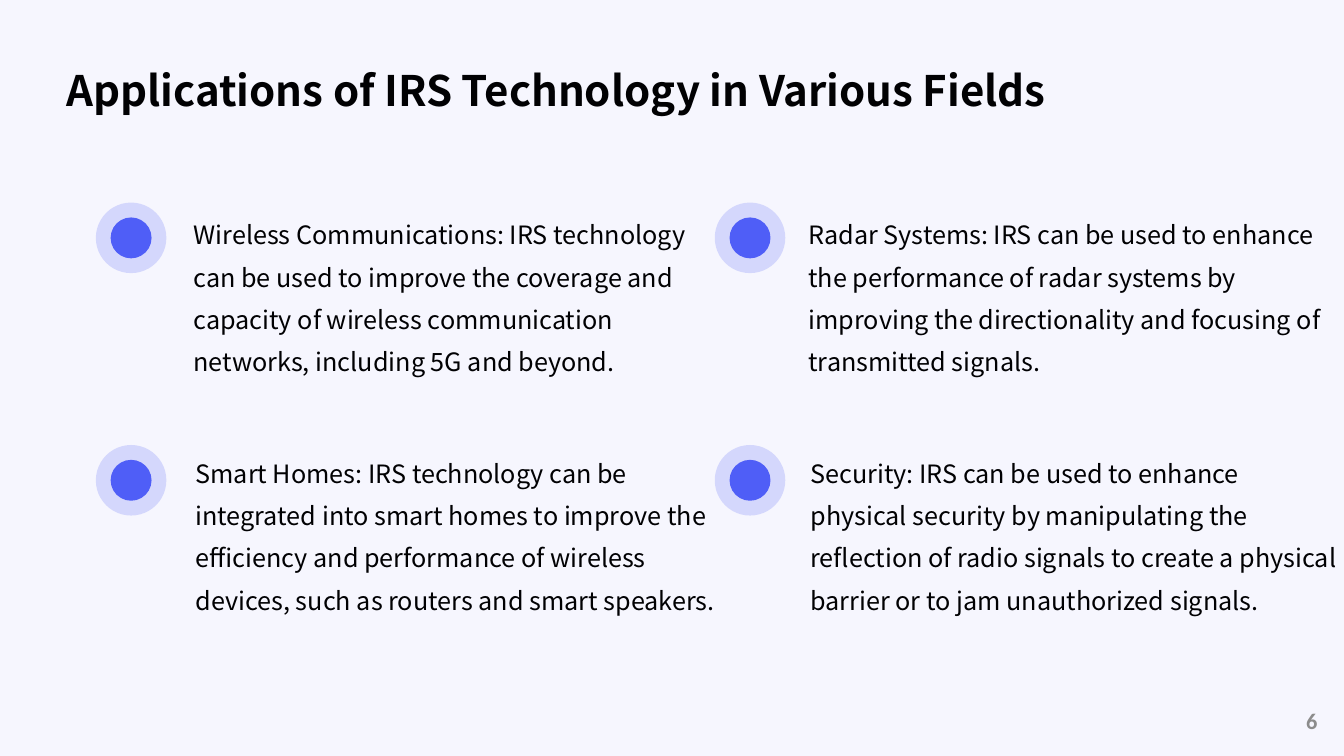
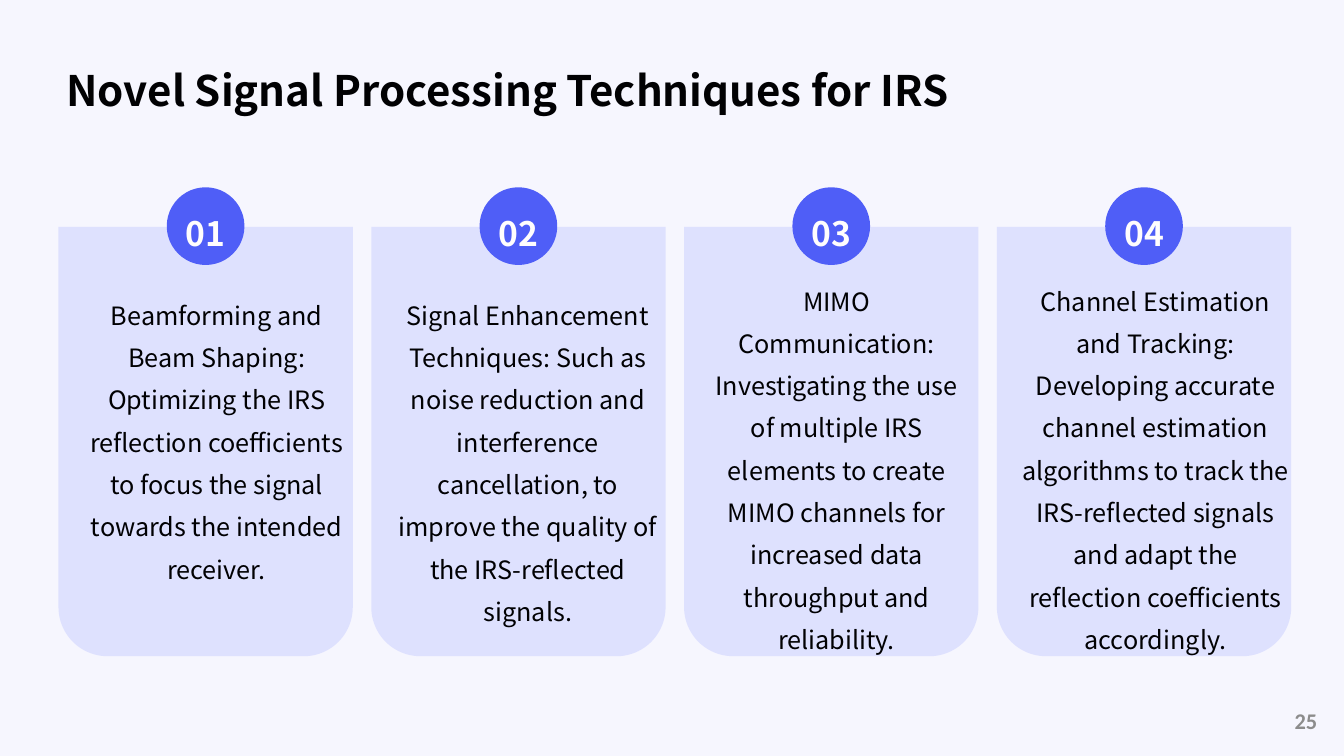
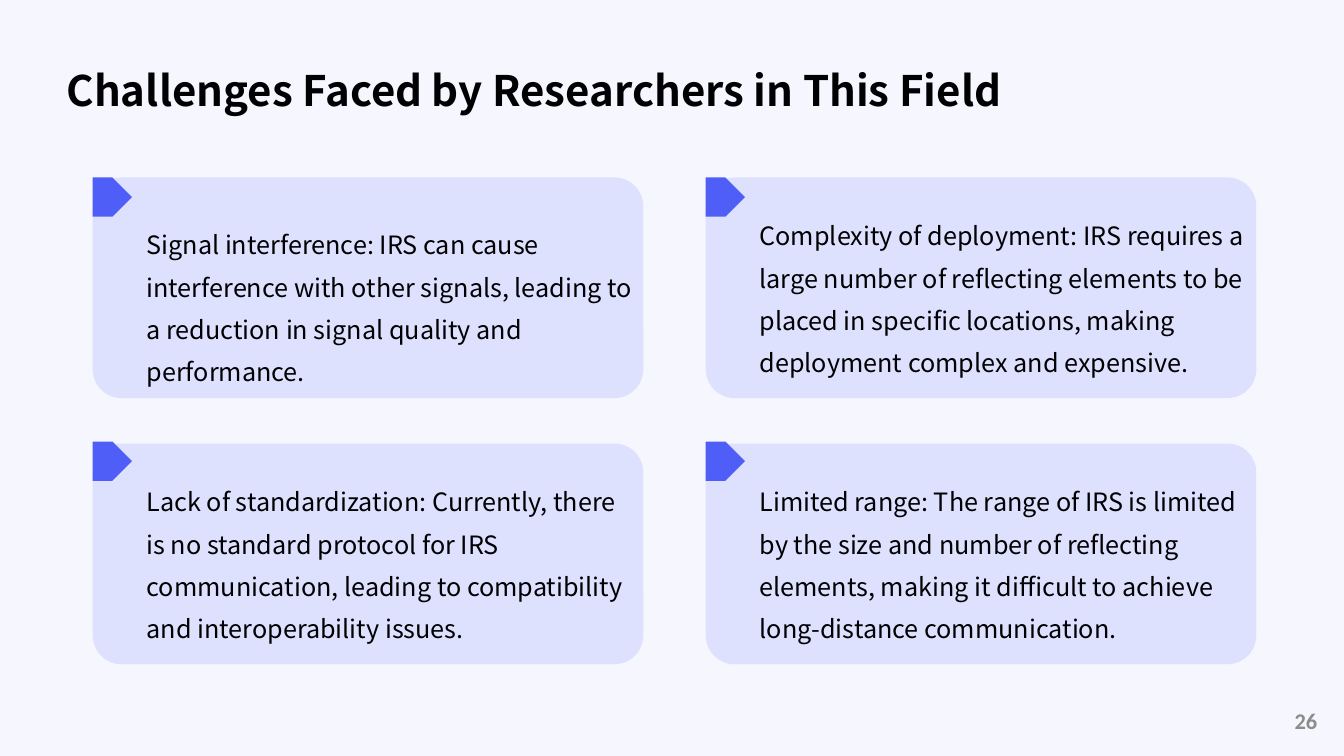
from dataclasses import dataclass

from lxml.etree import SubElement
from pptx import Presentation
from pptx.dml.color import RGBColor as Rgb
from pptx.enum.shapes import MSO_SHAPE as Kind
from pptx.enum.text import MSO_ANCHOR as Anchor, PP_ALIGN as Align
from pptx.oxml.ns import qn
from pptx.util import Inches, Pt


class Theme:
    """Colours, text styles and insets (left, top, right, bottom) of the deck."""
    back, main, card = "F6F6FE", "4F5EF7", "D9DCFF"
    sans = "Noto Sans CJK SC"
    wide, slim = (0.14, 0.14, 0.06, 0.14), (0.07, 0.04, 0.07, 0.04)
    body = {"font": {"name": sans, "size": Pt(18), "bold": False},
            "color": "010103", "para": {"line_spacing": 1.4, "alignment": Align.LEFT},
            "anchor": Anchor.TOP, "inset": wide}
    note = body | {"inset": slim}
    mid = note | {"para": {"line_spacing": 1.4, "alignment": Align.CENTER}}
    title = body | {"font": {"name": sans, "size": Pt(30), "bold": True},
                    "anchor": Anchor.MIDDLE}
    badge = {"font": {"name": sans, "size": Pt(24), "bold": True},
             "color": "FFFDFD", "para": {"line_spacing": 1.2, "alignment": Align.CENTER},
             "anchor": Anchor.MIDDLE, "inset": (0, 0.05, 0, 0)}
    page = {"font": {"name": "Calibri", "size": Pt(16), "bold": True},
            "color": "8C8C8C", "para": {"alignment": Align.RIGHT},
            "anchor": Anchor.MIDDLE, "inset": (0.1, 0.05, 0.1, 0.05)}


@dataclass
class Box:
    """A rectangle in inches; areas inside it are given in percent of its size."""
    x: float
    y: float
    w: float
    h: float

    def area(self, x, y, w, h):
        return Box(self.x + self.w * x / 100, self.y + self.h * y / 100,
                   self.w * w / 100, self.h * h / 100)

    def grid(self, cols, rows, gap_x=0, gap_y=0):
        """Equal cells, row by row, with gaps in percent."""
        w = (100 - gap_x * (cols - 1)) / cols
        h = (100 - gap_y * (rows - 1)) / rows
        return [self.area(col * (w + gap_x), row * (h + gap_y), w, h)
                for row in range(rows) for col in range(cols)]

    def emu(self):
        return [Inches(side) for side in (self.x, self.y, self.w, self.h)]


PAGE = Box(0, 0, 13.33, 7.5)


def assign(target, values):
    for name, value in values.items():
        setattr(target, name, value)


def write(frame, words, style):
    sides = ("margin_left", "margin_top", "margin_right", "margin_bottom")
    assign(frame, dict(zip(sides, map(Inches, style["inset"]))))
    assign(frame, {"word_wrap": True, "vertical_anchor": style["anchor"]})
    para = frame.paragraphs[0]
    assign(para, style["para"])
    run = para.add_run()
    run.text = words
    assign(run.font, style["font"])
    run.font.color.rgb = Rgb.from_string(style["color"])


def label(slide, box, words, style):
    write(slide.shapes.add_textbox(*box.emu()).text_frame, words, style)


def block(slide, kind, box, color, alpha=100, adjust=None, turn=0):
    """A plain filled shape; alpha is its opacity in percent."""
    shape = slide.shapes.add_shape(kind, *box.emu())
    shape.shadow.inherit = False
    shape.line.fill.background()
    shape.fill.solid()
    shape.fill.fore_color.rgb = Rgb.from_string(color)
    shape.rotation = turn
    if adjust is not None:
        shape.adjustments[0] = adjust
    if alpha < 100:
        tint = shape.element.spPr.find(".//" + qn("a:srgbClr"))
        SubElement(tint, qn("a:alpha"), val=str(alpha * 1000))
    return shape


def bullet(slide, cell, place, words):
    halo = cell.area(0, 0, 11.4, 29.1)
    block(slide, Kind.OVAL, halo, Theme.main, alpha=20)
    block(slide, Kind.OVAL, halo.area(21, 21, 58, 58), Theme.main)
    x, y, w = place
    label(slide, cell.area(x, y, w, 83.6), words, Theme.body)


def column(slide, cell, place, words, number):
    block(slide, Kind.ROUND_2_SAME_RECTANGLE, cell, Theme.card, alpha=80, turn=180)
    y, w = place
    label(slide, cell.area(3.9, y, w, 80), words, Theme.mid)
    disc = block(slide, Kind.OVAL, cell.area(36.8, -9.2, 26.4, 18.1), Theme.main)
    write(disc.text_frame, number, Theme.badge)


def panel(slide, cell, place, words, lift):
    block(slide, Kind.ROUNDED_RECTANGLE, cell, Theme.card, alpha=80, adjust=0.13)
    y, w = place
    label(slide, cell.area(8.5, y, w, 74.4), words, Theme.note)
    block(slide, Kind.PENTAGON, cell.area(0, -lift, 7.14, 17.8), Theme.main, adjust=0.5)


def bullets(slide, box, items):
    for cell, item in zip(box.grid(2, 2), items):
        bullet(slide, cell, *item)


def columns(slide, box, items):
    for count, (cell, item) in enumerate(zip(box.grid(4, 1, 1.5), items), 1):
        column(slide, cell, *item, f"{count:02}")


def panels(slide, box, items):
    for count, (cell, item) in enumerate(zip(box.grid(2, 2, 5.37, 9.32), items)):
        panel(slide, cell, *item, lift=0.9 * (count // 2))


FIELDS = [
    ((13.52, -3.74, 86.48), "Wireless Communications: IRS technology can be used to improve "
     "the coverage and capacity of wireless communication networks, including 5G and beyond."),
    ((12.87, -3.74, 86.48), "Radar Systems: IRS can be used to enhance the performance of radar "
     "systems by improving the directionality and focusing of transmitted signals."),
    ((13.84, -5.41, 90.23), "Smart Homes: IRS technology can be integrated into smart homes to "
     "improve the efficiency and performance of wireless devices, such as routers and smart "
     "speakers."),
    ((13.19, -5.41, 88.6), "Security: IRS can be used to enhance physical security by "
     "manipulating the reflection of radio signals to create a physical barrier or to jam "
     "unauthorized signals."),
]
METHODS = [
    ((13.3, 99.7), "Beamforming and Beam Shaping: Optimizing the IRS reflection coefficients "
     "to focus the signal towards the intended receiver."),
    ((13.3, 98.6), "Signal Enhancement Techniques: Such as noise reduction and interference "
     "cancellation, to improve the quality of the IRS-reflected signals."),
    ((10, 95.9), "MIMO Communication: Investigating the use of multiple IRS elements to create "
     "MIMO channels for increased data throughput and reliability."),
    ((10, 100), "Channel Estimation and Tracking: Developing accurate channel estimation "
     "algorithms to track the IRS-reflected signals and adapt the reflection coefficients "
     "accordingly."),
]
ISSUES = [
    ((16.4, 91.4), "Signal interference: IRS can cause interference with other signals, "
     "leading to a reduction in signal quality and performance."),
    ((12.3, 91.4), "Complexity of deployment: IRS requires a large number of reflecting "
     "elements to be placed in specific locations, making deployment complex and expensive."),
    ((12.3, 91.4), "Lack of standardization: Currently, there is no standard protocol for IRS "
     "communication, leading to compatibility and interoperability issues."),
    ((12.3, 93.8), "Limited range: The range of IRS is limited by the size and number of "
     "reflecting elements, making it difficult to achieve long-distance communication."),
]
DECK = [
    ("Applications of IRS Technology in Various Fields", 6, bullets,
     PAGE.area(7.13, 26.8, 92.1, 64.13), FIELDS),
    ("Novel Signal Processing Techniques for IRS", 25, columns,
     PAGE.area(4.35, 30, 91.72, 56.8), METHODS),
    ("Challenges Faced by Researchers in This Field", 26, panels,
     PAGE.area(6.9, 23.47, 86.57, 64.4), ISSUES),
]


def main():
    deck = Presentation()
    assign(deck, {"slide_width": Inches(PAGE.w), "slide_height": Inches(PAGE.h)})
    back = deck.slide_master.background.fill
    back.solid()
    back.fore_color.rgb = Rgb.from_string(Theme.back)
    for title, number, fill, box, items in DECK:
        slide = deck.slides.add_slide(deck.slide_layouts[6])
        label(slide, PAGE.area(3.9, 3.87, 92.2, 13.33), title, Theme.title)
        fill(slide, box, items)
        label(slide, PAGE.area(81.25, 92.67, 17.5, 5.33), str(number), Theme.page)
    deck.save("out.pptx")


if __name__ == "__main__":
    main()
